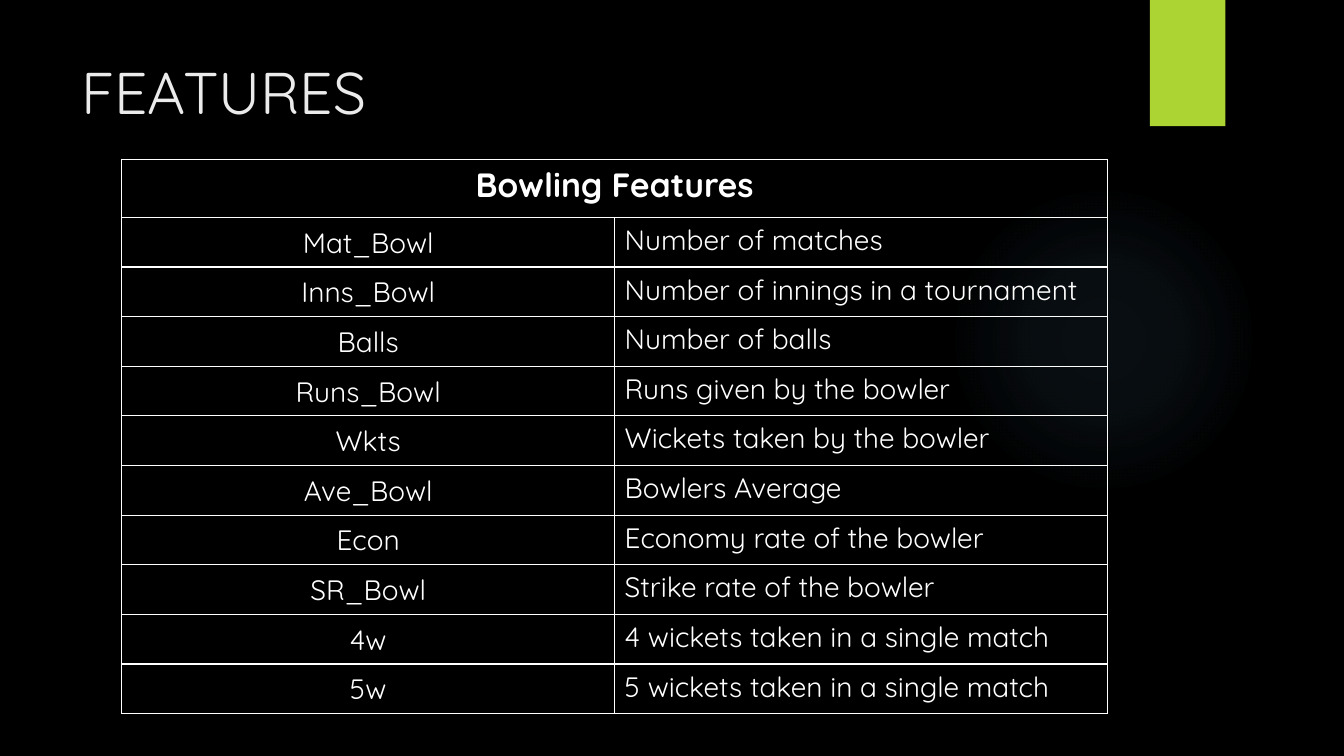
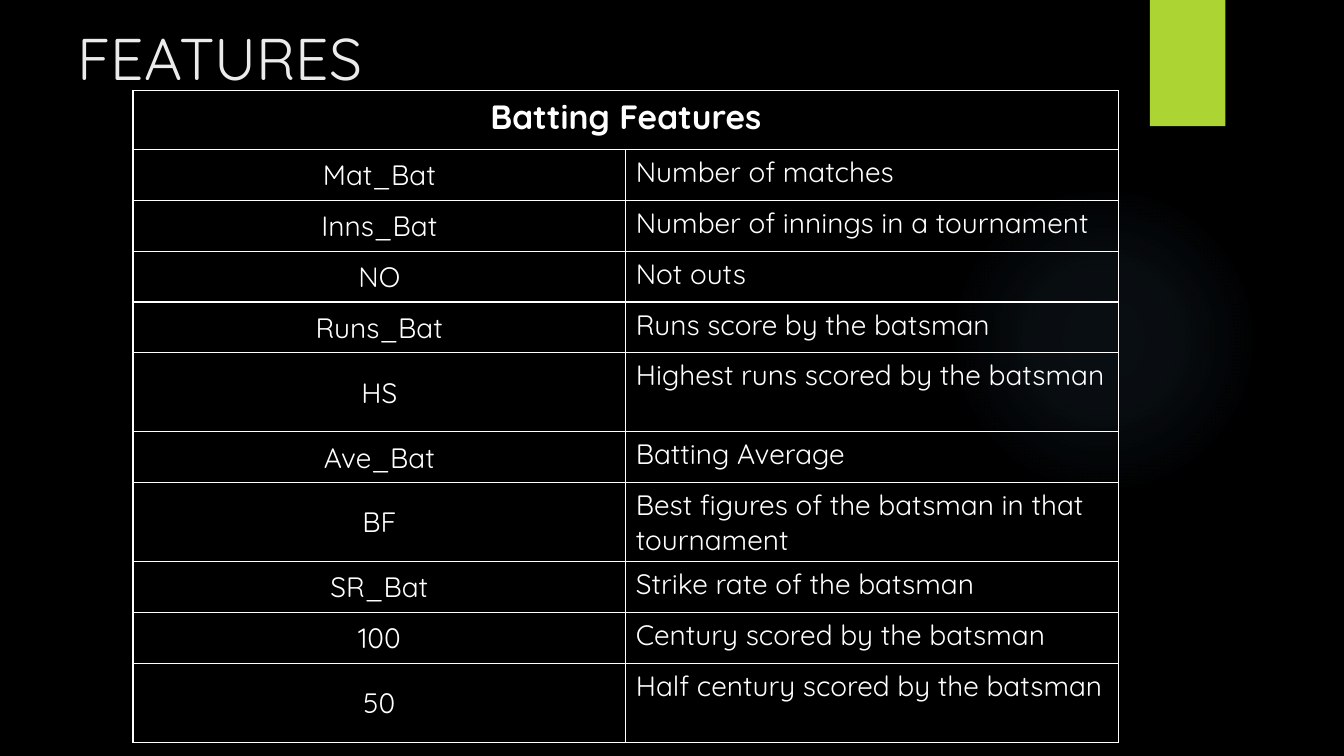
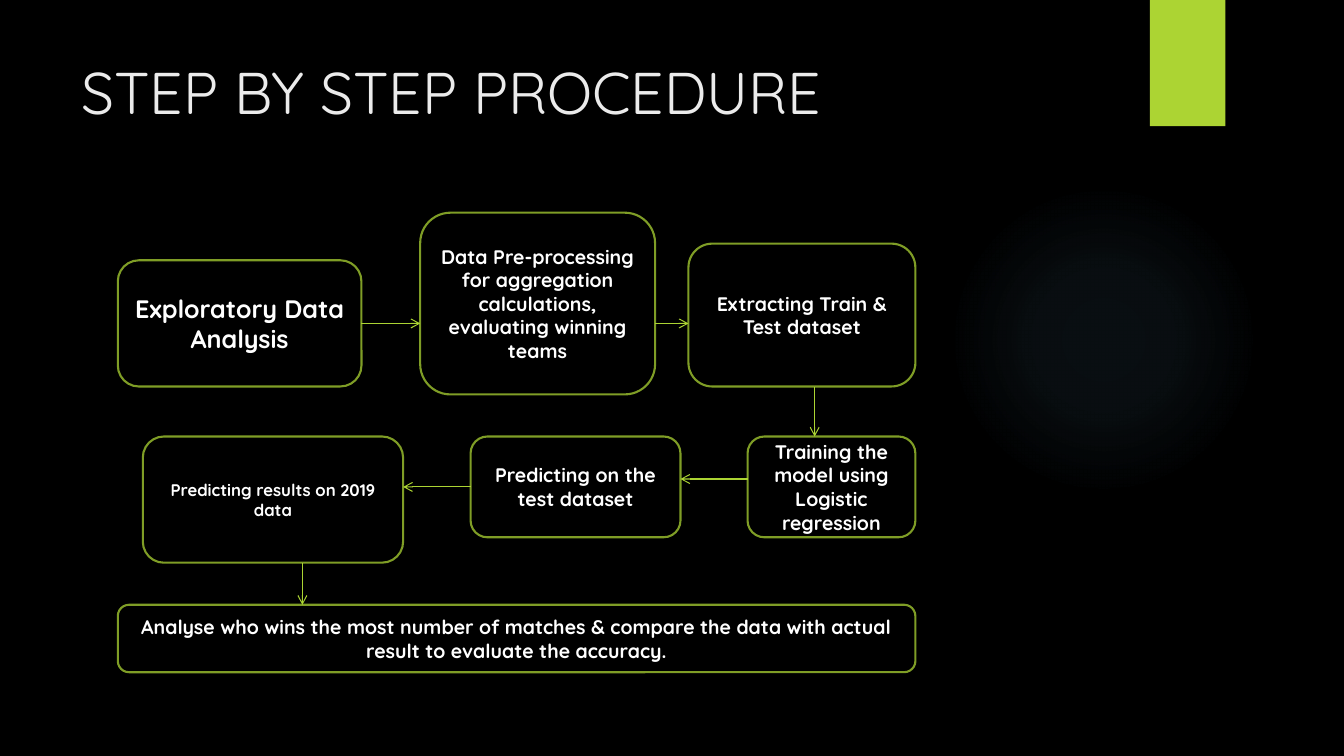
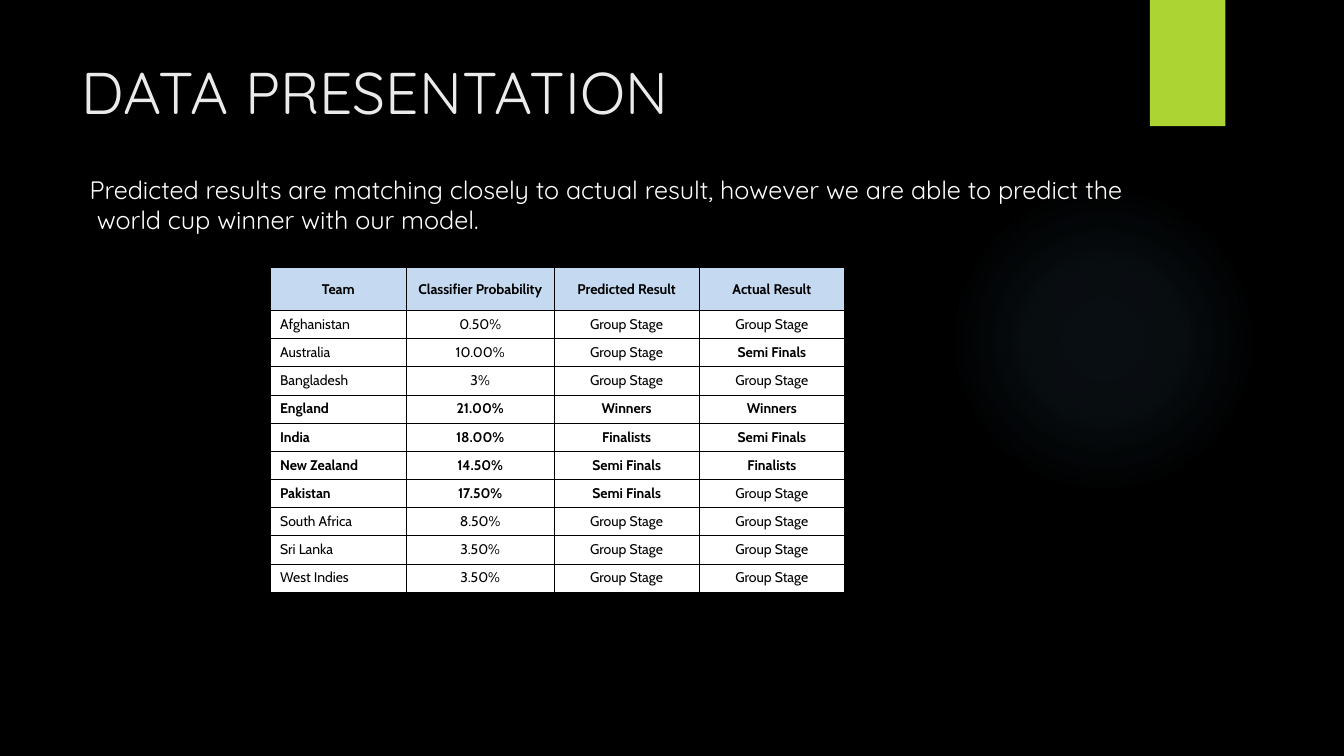
from pptx import Presentation
from pptx.dml.color import RGBColor
from pptx.enum.shapes import MSO_CONNECTOR, MSO_SHAPE
from pptx.enum.text import MSO_ANCHOR, PP_ALIGN
from pptx.oxml import parse_xml
from pptx.oxml.ns import nsdecls, qn
from pptx.oxml.xmlchemy import OxmlElement
from pptx.util import Cm, Pt

# Shared look
BLACK = RGBColor(0x00, 0x00, 0x00)
WHITE = RGBColor(0xFF, 0xFF, 0xFF)
TITLE_GREY = RGBColor(0xEB, 0xEB, 0xEB)
LIME = RGBColor(0xAC, 0xD4, 0x33)
OLIVE = RGBColor(0x7F, 0x9D, 0x26)
HEADER_BLUE = RGBColor(0xC5, 0xD9, 0xF1)
GLOW_BLUE = RGBColor(0x7A, 0xC4, 0xF0)
FONT, TABLE_FONT = "Quicksand", "Cabin"
GLOW_STOPS = [(0, 7), (36, 6), (69, 0)]  # position %, opacity %
TOP, LEFT, BOTTOM, RIGHT = range(4)
TIGHT = (0.02, 0.02, 0.02, 0)  # cell margins: left, top, right, bottom

# Content (positions and sizes in cm)
FEATURE_SLIDES = [
    dict(title_box=(1.8, 1.27, 26.14, 3.89), heading="Bowling Features",
         at=(3.07, 4.01), heights=(1.47, 1.25, 1.25), tall=(), rows=[
             ("Mat_Bowl", "Number of matches"),
             ("Inns_Bowl", "Number of innings in a tournament"),
             ("Balls", "Number of balls"),
             ("Runs_Bowl", "Runs given by the bowler"),
             ("Wkts", "Wickets taken by the bowler"),
             ("Ave_Bowl", "Bowlers Average"),
             ("Econ", "Economy rate of the bowler"),
             ("SR_Bowl", "Strike rate of the bowler"),
             ("4w", "4 wickets taken in a single match"),
             ("5w", "5 wickets taken in a single match")]),
    dict(title_box=(1.7, 0.43, 26.14, 2.31), heading="Batting Features",
         at=(3.35, 2.29), heights=(1.48, 1.28, 1.99), tall=("HS", "BF", "50"), rows=[
             ("Mat_Bat", "Number of matches"),
             ("Inns_Bat", "Number of innings in a tournament"),
             ("NO", "Not outs"),
             ("Runs_Bat", "Runs score by the batsman"),
             ("HS", "Highest runs scored by the batsman"),
             ("Ave_Bat", "Batting Average"),
             ("BF", "Best figures of the batsman in that tournament"),
             ("SR_Bat", "Strike rate of the batsman"),
             ("100", "Century scored by the batsman"),
             ("50", "Half century scored by the batsman")]),
]

STEPS = {  # name: (left, top, width, height), font size, text
    "explore": ((2.97, 6.56, 6.14, 3.18), 18, "Exploratory Data Analysis"),
    "prepare": ((10.59, 5.36, 5.92, 4.58), 14,
                "Data Pre-processing for aggregation calculations, evaluating winning teams"),
    "extract": ((17.35, 6.14, 5.72, 3.6), 14, "Extracting Train & Test dataset"),
    "train": ((18.84, 11, 4.23, 2.54), 14, "Training the model using Logistic regression"),
    "test": ((11.86, 11, 5.29, 2.54), 14, "Predicting on the test dataset"),
    "results": ((3.6, 11, 6.56, 3.18), 12, "Predicting results on 2019 data"),
    "analyse": ((2.97, 15.24, 20.1, 1.7), 14,
                "Analyse who wins the most number of matches & compare the data "
                "with actual result to evaluate the accuracy."),
}
ARROWS = [  # from, to, side left from, level (y if sideways, x if down)
    ("explore", "prepare", RIGHT, 8.15),
    ("prepare", "extract", RIGHT, 8.15),
    ("extract", "train", BOTTOM, 20.53),
    ("train", "test", LEFT, 12.07),
    ("test", "results", LEFT, 12.27),
    ("results", "analyse", BOTTOM, 7.62),
]

SUMMARY = ["Predicted results are matching closely to actual result, "
           "however we are able to predict the",
           "world cup winner with our model."]
GROUP = "Group Stage"
RESULT_HEAD = ("Team", "Classifier Probability", "Predicted Result", "Actual Result")
RESULTS = [
    ("Afghanistan", "0.50%", GROUP, GROUP),
    ("Australia", "10.00%", GROUP, "Semi Finals"),
    ("Bangladesh", "3%", GROUP, GROUP),
    ("England", "21.00%", "Winners", "Winners"),
    ("India", "18.00%", "Finalists", "Semi Finals"),
    ("New Zealand", "14.50%", "Semi Finals", "Finalists"),
    ("Pakistan", "17.50%", "Semi Finals", GROUP),
    ("South Africa", "8.50%", GROUP, GROUP),
    ("Sri Lanka", "3.50%", GROUP, GROUP),
    ("West Indies", "3.50%", GROUP, GROUP),
]


def cms(values):
    return [Cm(v) for v in values]


def write(p, text, size, color, name=FONT, bold=False, align=PP_ALIGN.LEFT):
    p.text = text
    p.alignment = align
    f = p.font
    f.size, f.name, f.bold = Pt(size), name, bold
    f.color.rgb = color


def add_plain_shape(s, kind, box):
    sp = s.shapes.add_shape(kind, *cms(box))
    sp.shadow.inherit = False
    sp.fill.background()
    sp.line.fill.background()
    return sp


def add_text(s, box, lines, size, color):
    tf = s.shapes.add_textbox(*cms(box)).text_frame
    tf.word_wrap = True
    for i, line in enumerate(lines):
        write(tf.add_paragraph() if i else tf.paragraphs[0], line, size, color)
    return tf


def new_slide(prs, title, title_box):
    s = prs.slides.add_slide(prs.slide_layouts[6])
    # Soft glow
    glow = add_plain_shape(s, MSO_SHAPE.OVAL, (23.9, 4.65, 7.82, 7.82))
    stops = "".join(
        f'<a:gs pos="{pos * 1000}"><a:srgbClr val="{GLOW_BLUE}">'
        f'<a:alpha val="{alpha * 1000}"/></a:srgbClr></a:gs>' for pos, alpha in GLOW_STOPS)
    spPr = glow._element.spPr
    spPr.replace(spPr.find(qn("a:noFill")), parse_xml(
        f'<a:gradFill {nsdecls("a")}><a:gsLst>{stops}</a:gsLst><a:path path="circle">'
        '<a:fillToRect l="50000" t="50000" r="50000" b="50000"/></a:path></a:gradFill>'))
    # Lime band with its shadow
    band = add_plain_shape(s, MSO_SHAPE.RECTANGLE, (28.98, 0, 1.9, 3.18))
    band.fill.solid()
    band.fill.fore_color.rgb = LIME
    band._element.spPr.find(qn("a:effectLst")).append(parse_xml(
        f'<a:outerShdw {nsdecls("a")} blurRad="{Pt(3)}" dist="{Pt(2)}" dir="5400000" '
        f'rotWithShape="0"><a:srgbClr val="{BLACK}"><a:alpha val="45000"/></a:srgbClr>'
        '</a:outerShdw>'))
    add_text(s, title_box, [title], 42, TITLE_GREY)
    return s


def add_grid(s, at, widths, heights):
    size = (sum(widths), sum(heights))
    table = s.shapes.add_table(len(heights), len(widths), *cms(at + size)).table
    table.first_row = table.horz_banding = False
    for col, w in zip(table.columns, widths):
        col.width = Cm(w)
    for row, h in zip(table.rows, heights):
        row.height = Cm(h)
    return table


def style_cell(cell, line_color, line_width, fill=None, margins=None):
    if fill is None:
        cell.fill.background()
    else:
        cell.fill.solid()
        cell.fill.fore_color.rgb = fill
    if margins:
        cell.vertical_anchor = MSO_ANCHOR.MIDDLE
        (cell.margin_left, cell.margin_top,
         cell.margin_right, cell.margin_bottom) = cms(margins)
    tcPr = cell._tc.get_or_add_tcPr()
    for i, side in enumerate("LRTB"):
        tcPr.insert(i, parse_xml(
            f'<a:ln{side} {nsdecls("a")} w="{Pt(line_width)}"><a:solidFill>'
            f'<a:srgbClr val="{line_color}"/></a:solidFill></a:ln{side}>'))


def features_slide(prs, title_box, heading, at, heights, tall, rows):
    s = new_slide(prs, "FEATURES", title_box)
    head_h, row_h, tall_h = heights[0], heights[1], heights[2]
    row_heights = [head_h] + [tall_h if name in tall else row_h for name, _ in rows]
    table = add_grid(s, at, (12.42, 12.42), row_heights)
    for i, texts in enumerate([(heading, "")] + rows):
        for j, text in enumerate(texts):
            cell = table.cell(i, j)
            style_cell(cell, WHITE, 1, margins=TIGHT if i and j == 0 else None)
            if text:
                write(cell.text_frame.paragraphs[0], text, 20 if i else 24, WHITE,
                      bold=i == 0, align=PP_ALIGN.LEFT if j else PP_ALIGN.CENTER)
    table.cell(0, 0).merge(table.cell(0, 1))


def add_arrow(s, shapes, start, end, side, level):
    (x1, y1, w1, h1), (x2, y2, w2, h2) = STEPS[start][0], STEPS[end][0]
    begin, finish = {
        RIGHT: ((x1 + w1, level), (x2, level)),
        LEFT: ((x1, level), (x2 + w2, level)),
        BOTTOM: ((level, y1 + h1), (level, y2)),
    }[side]
    c = s.shapes.add_connector(MSO_CONNECTOR.STRAIGHT, *cms(begin + finish))
    middle = x1 + w1 / 2 if side == BOTTOM else y1 + h1 / 2
    if abs(middle - level) < 0.02:
        c.begin_connect(shapes[start], side)
    c.line.color.rgb = LIME
    c.line.width = Pt(0.75)
    tail = OxmlElement("a:tailEnd")
    tail.set("type", "arrow")
    c.line._get_or_add_ln().append(tail)
    c._element.spPr.append(OxmlElement("a:effectLst"))


def procedure_slide(prs):
    s = new_slide(prs, "STEP BY STEP PROCEDURE", (1.8, 1.27, 25.93, 2.87))
    shapes = {}
    for name, (box, size, text) in STEPS.items():
        sp = shapes[name] = add_plain_shape(s, MSO_SHAPE.ROUNDED_RECTANGLE, box)
        sp.line.color.rgb = OLIVE
        sp.line.width = Pt(1.5)
        tf = sp.text_frame
        tf.word_wrap = True
        tf.vertical_anchor = MSO_ANCHOR.MIDDLE
        write(tf.paragraphs[0], text, size, WHITE, bold=True, align=PP_ALIGN.CENTER)
    for arrow in ARROWS:
        add_arrow(s, shapes, *arrow)


def results_slide(prs):
    s = new_slide(prs, "DATA PRESENTATION", (1.8, 1.27, 26.14, 3.89))
    heights = [1.08] + [0.71] * len(RESULTS)
    table = add_grid(s, (6.81, 6.74), (3.43, 3.72, 3.66, 3.66), heights)
    for i, texts in enumerate([RESULT_HEAD] + RESULTS):
        for j, text in enumerate(texts):
            cell = table.cell(i, j)
            body_margins = (0.02 if j else 0.25, 0.13, 0.02, 0.13)
            style_cell(cell, BLACK, 0.5, WHITE if i else HEADER_BLUE,
                       body_margins if i else TIGHT)
            # Anything past the group stage is bold; team and odds follow the prediction
            bold = i == 0 or texts[max(j, 2)] != GROUP
            write(cell.text_frame.paragraphs[0], text, 10, BLACK, TABLE_FONT, bold,
                  PP_ALIGN.LEFT if i and j == 0 else PP_ALIGN.CENTER)
    tf = add_text(s, (2.01, 4.27, 28.58, 1.8), SUMMARY, 18, WHITE)
    tf.paragraphs[1]._p.get_or_add_pPr().set("marL", str(Cm(0.18)))


def main():
    prs = Presentation()
    prs.slide_width, prs.slide_height = Cm(33.87), Cm(19.05)
    background = prs.slide_master.background.fill
    background.solid()
    background.fore_color.rgb = BLACK
    for features in FEATURE_SLIDES:
        features_slide(prs, **features)
    procedure_slide(prs)
    results_slide(prs)
    prs.save("out.pptx")


if __name__ == "__main__":
    main()
